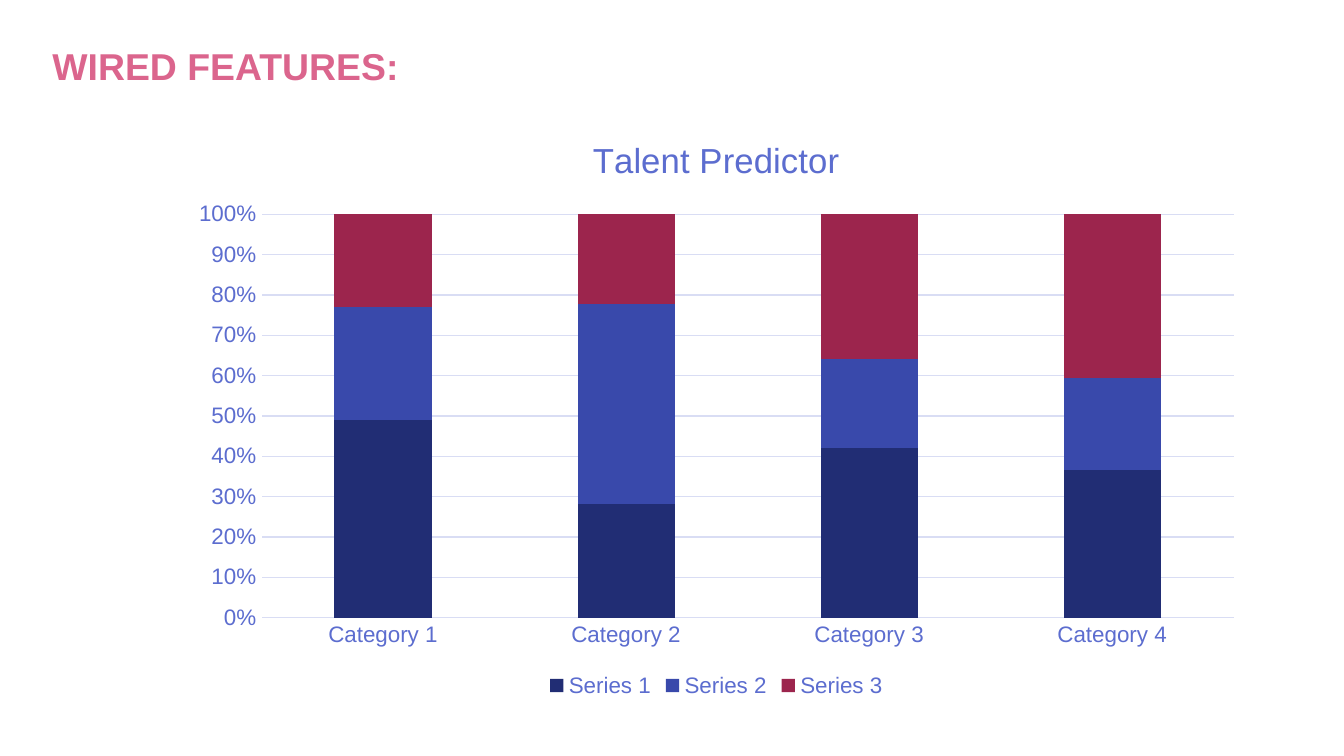
"""Build a slide with a heading and a 100% stacked column chart."""
import dataclasses

import pptx
import pptx.chart.data
import pptx.dml.color
import pptx.enum.chart
import pptx.enum.text
import pptx.util

Inches = pptx.util.Inches
Pt = pptx.util.Pt
RGB = pptx.dml.color.RGBColor.from_string


@dataclasses.dataclass(frozen=True)
class Theme:
    font: str = "Arial"
    heading: str = "DB658D"
    label: str = "5C6DCF"
    grid: str = "D9DDF4"
    background: str = "FFFFFF"
    series: tuple = ("212D74", "3949AB", "9C254D")
    heading_size: float = 20
    chart_title_size: float = 18.6
    label_size: float = 12


THEME = Theme()
SLIDE_WIDTH = 10
SLIDE_HEIGHT = SLIDE_WIDTH * 9 / 16
CATEGORIES = ["Category 1", "Category 2", "Category 3", "Category 4"]
SERIES = {
    "Series 1": (49, 28, 42, 37),
    "Series 2": (28, 49, 22, 23),
    "Series 3": (23, 22, 36, 41),
}


def set_format(obj, values):
    """Set each named attribute of an object."""
    for name, value in values.items():
        setattr(obj, name, value)


def style_font(font, size, color, bold=False):
    """Apply the theme font with a size, colour and weight."""
    set_format(font, {"name": THEME.font, "size": Pt(size), "bold": bold})
    font.color.rgb = RGB(color)


def add_heading(slide, text, left, top, width, height):
    """Place and format the title placeholder."""
    sp = slide.shapes.title
    set_format(sp, {"left": Inches(left), "top": Inches(top),
                    "width": Inches(width), "height": Inches(height)})
    tf = sp.text_frame
    set_format(tf, {"word_wrap": True,
                    "auto_size": pptx.enum.text.MSO_AUTO_SIZE.NONE,
                    "vertical_anchor": pptx.enum.text.MSO_ANCHOR.TOP})
    p = tf.paragraphs[0]
    p.alignment = pptx.enum.text.PP_ALIGN.LEFT
    r = p.add_run()
    r.text = text
    style_font(r.font, THEME.heading_size, THEME.heading, bold=True)


def style_axis(axis):
    """Give an axis plain labels without ticks or a line."""
    no_tick = pptx.enum.chart.XL_TICK_MARK.NONE
    set_format(axis, {"major_tick_mark": no_tick, "minor_tick_mark": no_tick})
    axis.format.line.fill.background()
    style_font(axis.tick_labels.font, THEME.label_size, THEME.label)


def style_chart_title(chart, text):
    """Add the chart title above the plot."""
    chart.has_title = True
    title = chart.chart_title
    title.include_in_layout = False
    p = title.text_frame.paragraphs[0]
    r = p.add_run()
    r.text = text
    style_font(r.font, THEME.chart_title_size, THEME.label)


def style_legend(chart):
    """Add the legend below the plot."""
    chart.has_legend = True
    set_format(chart.legend, {
        "position": pptx.enum.chart.XL_LEGEND_POSITION.BOTTOM,
        "include_in_layout": False})
    style_font(chart.legend.font, THEME.label_size, THEME.label)


def add_stacked_chart(slide, title, left, top, width, height):
    """Add the 100% stacked column chart."""
    data = pptx.chart.data.CategoryChartData()
    data.categories = CATEGORIES
    for name, values in SERIES.items():
        data.add_series(name, values)
    chart = slide.shapes.add_chart(
        pptx.enum.chart.XL_CHART_TYPE.COLUMN_STACKED_100,
        Inches(left), Inches(top), Inches(width), Inches(height), data).chart
    style_font(chart.font, THEME.label_size, THEME.label)
    style_chart_title(chart, title)
    style_legend(chart)

    plot = chart.plots[0]
    set_format(plot, {"gap_width": 150, "overlap": 100,
                      "vary_by_categories": False})
    for series, color in zip(plot.series, THEME.series):
        series.format.fill.solid()
        series.format.fill.fore_color.rgb = RGB(color)

    for axis in (chart.category_axis, chart.value_axis):
        style_axis(axis)
    set_format(chart.value_axis, {"minimum_scale": 0, "maximum_scale": 1,
                                  "major_unit": 0.1,
                                  "has_major_gridlines": True})
    set_format(chart.value_axis.tick_labels,
               {"number_format": "0%", "number_format_is_linked": False})
    line = chart.value_axis.major_gridlines.format.line
    line.width = Pt(0.75)
    line.color.rgb = RGB(THEME.grid)


def main():
    """Build and save the slide."""
    prs = pptx.Presentation()
    set_format(prs, {"slide_width": Inches(SLIDE_WIDTH),
                     "slide_height": Inches(SLIDE_HEIGHT)})
    s = prs.slides.add_slide(prs.slide_layouts[5])
    s.background.fill.solid()
    s.background.fill.fore_color.rgb = RGB(THEME.background)
    add_stacked_chart(s, "Talent Predictor", 1.32, 0.83, 8.02, 4.4)
    add_heading(s, "WIRED FEATURES:", 0.29, 0.27, 2.88, 0.44)
    prs.save("out.pptx")


if __name__ == "__main__":
    main()
